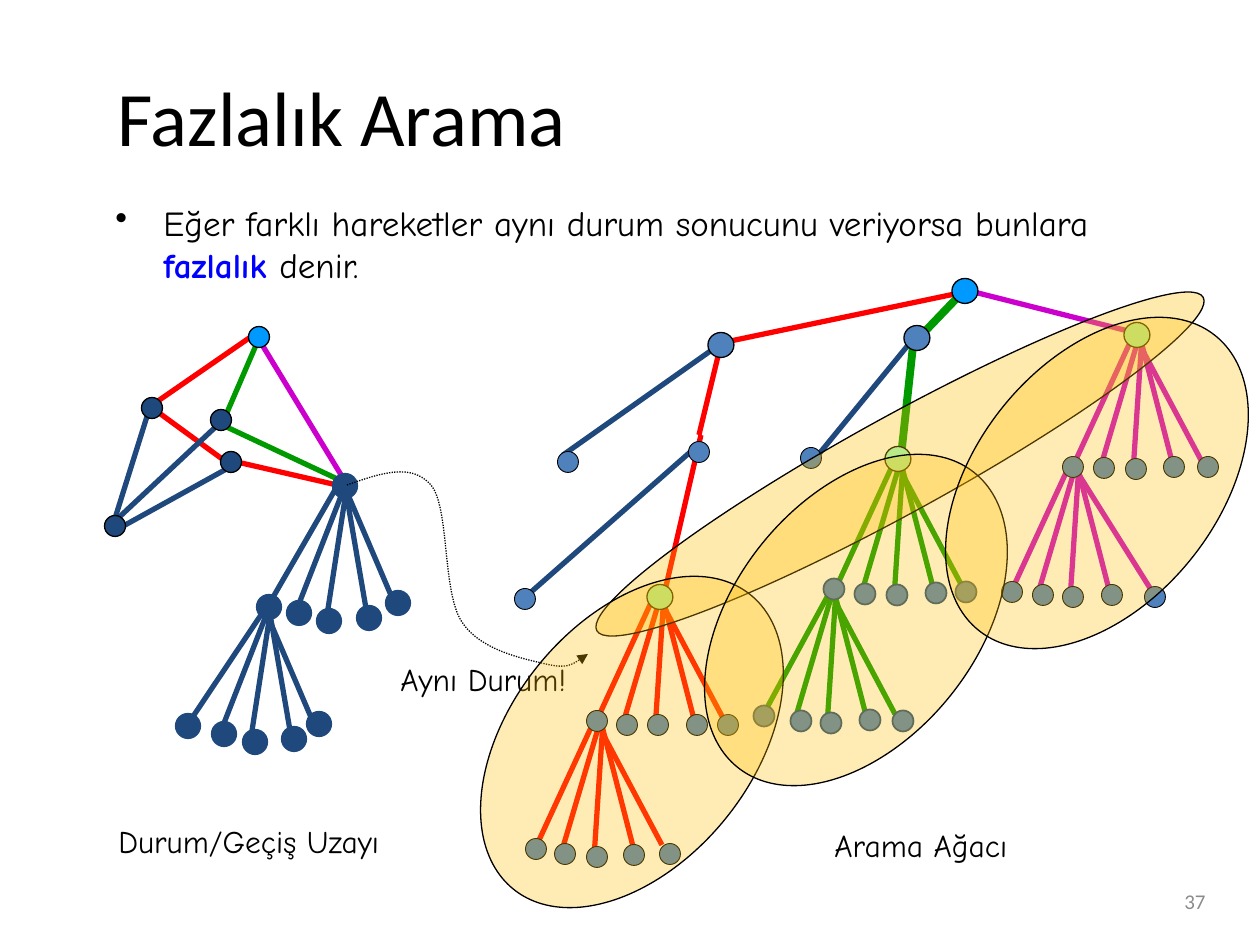
from lxml import etree
from pptx import Presentation
from pptx.dml.color import RGBColor
from pptx.enum.dml import MSO_LINE
from pptx.enum.shapes import MSO_CONNECTOR, MSO_SHAPE
from pptx.enum.text import MSO_ANCHOR, PP_ALIGN
from pptx.oxml.ns import qn
from pptx.util import Pt

SCALE = 914400 // 126
STRAIGHT, OVAL = MSO_CONNECTOR.STRAIGHT, MSO_SHAPE.OVAL
DOTTED = MSO_LINE.ROUND_DOT
MIDDLE, TOP = MSO_ANCHOR.MIDDLE, MSO_ANCHOR.TOP
LEFT, RIGHT, JUSTIFY = PP_ALIGN.LEFT, PP_ALIGN.RIGHT, PP_ALIGN.JUSTIFY
COLORS = {"black": "000000", "gray": "8C8C8C", "word": "0000FF", "red": "FF0000",
          "green": "009900", "purple": "CC00CC", "navy": "1F497D", "blue": "4F81BD",
          "bright": "0099FF", "mint": "99FFCC", "gold": "FFC000"}

TITLE = ("Fazlalık Arama", (105, 37, 1113, 158))
BODY_BOX = (103, 195, 1097, 110)
BODY = [[("Eğer farklı hareketler aynı durum sonucunu veriyorsa bunlara", "black", False)],
        [("fazlalık ", "word", True), ("denir.", "black", False)]]
BODY_INDENT = 48
LABELS = [("Durum/Geçiş Uzayı", (106, 816, 306, 50)),
          ("Arama Ağacı", (822, 820, 213, 50)),
          ("Aynı Durum!", (388, 654, 202, 50))]
PAGE_NUMBER = ("37", (924, 876, 294, 50))

LINKS = {
    ("red", 3): [(701, 435, 664, 595), (255, 334, 158, 401), (151, 407, 229, 464),
                 (350, 488, 237, 462), (974, 290, 721, 343), (699, 435, 721, 344)],
    ("green", 4.5): [(959, 296, 912, 345), (915, 328, 901, 457)],
    ("green", 3): [(218, 423, 348, 484), (260, 336, 226, 415)],
    ("purple", 3): [(966, 290, 1144, 335), (258, 338, 349, 488)],
    ("navy", 3): [(914, 338, 810, 465), (150, 407, 112, 528), (232, 466, 118, 529),
                  (222, 421, 112, 524), (696, 447, 522, 600), (719, 345, 563, 455)],
}
TREE_RAYS = [(8, 3, -1, 139), (5, 3, -34, 135), (0, 0, -60, 130), (0, 0, 67, 126), (6, 3, 40, 135)]
STATE_RAYS = [(8, 3, -13, 139), (6, 3, -44, 131), (0, 0, -71, 123), (4, 0, 60, 131), (6, 3, 29, 137)]
FANS = [
    ("purple", (1134, 334), TREE_RAYS, {}),
    ("purple", (1071, 462), TREE_RAYS, {3: (0, 0, 84, 134)}),
    ("green", (895, 460), TREE_RAYS, {}),
    ("green", (828, 588), TREE_RAYS, {2: (4, 0, -66, 129)}),
    ("red", (656, 592), TREE_RAYS, {}),
    ("red", (595, 719), TREE_RAYS, {}),
    ("navy", (339, 483), STATE_RAYS, {}),
    ("navy", (263, 605), STATE_RAYS, {2: (4, 1, -77, 122), 3: (0, 0, 56, 131)}),
]
SMALL, LARGE = (21, 21), (26, 25)
NODES = [
    (SMALL, "blue", "black", 0.5, [
        (1208, 467), (1174, 467), (1136, 469), (1104, 468), (1073, 467),
        (1155, 597), (1112, 595), (1073, 597), (1043, 595), (1012, 592),
        (728, 725), (697, 725), (658, 725), (627, 725), (597, 721),
        (670, 854), (634, 855), (597, 857), (565, 854), (536, 849),
        (811, 458), (525, 599), (568, 462), (699, 452)]),
    (SMALL, "blue", "navy", 1, [
        (966, 592), (936, 593), (897, 595), (865, 594), (834, 589),
        (903, 721), (870, 720), (831, 723), (801, 721), (764, 716)]),
    (SMALL, "navy", "navy", 3, [
        (398, 603), (369, 618), (329, 621), (299, 613), (269, 607), (345, 486),
        (319, 724), (294, 739), (255, 742), (224, 734), (188, 726)]),
    (SMALL, "navy", "black", 0.75, [(152, 408), (115, 526), (231, 462), (221, 420)]),
    (SMALL, "bright", "black", 0.75, [(259, 337)]),
    (LARGE, "mint", "black", 0.75, [(1137, 335), (898, 459), (660, 597)]),
    (LARGE, "blue", "black", 0.75, [(917, 338), (721, 345)]),
    (LARGE, "bright", "black", 0.75, [(965, 291)]),
]
POINTER = [(347, 485), (379, 474), (411, 462), (431, 485), (450, 508), (442, 592),
           (462, 622), (481, 651), (525, 659), (546, 664), (567, 669), (577, 662), (588, 654)]
REGIONS = [((900, 464), (692, 97), 151.2, 32), ((632, 742), (242, 378), 38.8, 29),
           ((856, 620), (242, 378), 38.8, 29), ((1097, 483), (242, 378), 38.8, 29)]


def color(name):
    return RGBColor.from_string(COLORS[name])


def lengths(values):
    return [value * SCALE for value in values]


def style_line(shape, name, width):
    shape.line.color.rgb = color(name)
    shape.line.width = Pt(width)


def add_link(points, name, width):
    link = slide.shapes.add_connector(STRAIGHT, *lengths(points))
    style_line(link, name, width)
    etree.SubElement(link._element.spPr, qn("a:effectLst"))


def add_ellipse(center, size, fill, line, width):
    box = [center[0] - size[0] / 2, center[1] - size[1] / 2, *size]
    shape = slide.shapes.add_shape(OVAL, *[int(value) for value in lengths(box)])
    shape.shadow.inherit = False
    shape.fill.solid()
    shape.fill.fore_color.rgb = color(fill)
    style_line(shape, line, width)
    return shape


def add_run(paragraph, text, name, values):
    run = paragraph.add_run()
    run.text = text
    run.font.color.rgb = color(name)
    for key, value in values.items():
        setattr(run.font, key, value)


def add_text(text, box, name, align, anchor, wrap, values):
    shape = slide.shapes.add_textbox(*lengths(box))
    frame = shape.text_frame
    frame.word_wrap, frame.vertical_anchor = wrap, anchor
    frame.paragraphs[0].alignment = align
    add_run(frame.paragraphs[0], text, name, values)


presentation = Presentation()
presentation.slide_width, presentation.slide_height = lengths((1260, 945))
slide = presentation.slides.add_slide(presentation.slide_layouts[5])

title = slide.shapes.title
title.left, title.top, title.width, title.height = lengths(TITLE[1])
title.text_frame.vertical_anchor = MIDDLE
title.text_frame.paragraphs[0].alignment = LEFT
add_run(title.text_frame.paragraphs[0], TITLE[0], "black", {"size": Pt(44), "name": "Calibri"})

add_text(*PAGE_NUMBER, "gray", RIGHT, MIDDLE, True, {"size": Pt(12), "name": "Calibri"})

body = slide.shapes.add_textbox(*lengths(BODY_BOX)).text_frame
body.word_wrap = True
for index, runs in enumerate(BODY):
    paragraph = body.add_paragraph() if index else body.paragraphs[0]
    paragraph.alignment = JUSTIFY
    properties = paragraph._p.get_or_add_pPr()
    properties.set("marL", str(BODY_INDENT * SCALE))
    if index == 0:
        properties.set("indent", str(-BODY_INDENT * SCALE))
        etree.SubElement(properties, qn("a:buChar")).set("char", "•")
    for text, name, bold in runs:
        add_run(paragraph, text, name, {"size": Pt(20), "name": "Comic Neue", "bold": bold})

for (name, width), links in LINKS.items():
    for points in links:
        add_link(points, name, width)
for name, (x, y), rays, changes in FANS:
    for index, ray in enumerate(rays):
        x1, y1, x2, y2 = changes.get(index, ray)
        add_link((x + x1, y + y1, x + x2, y + y2), name, 3)
for size, fill, line, width, centers in NODES:
    for center in centers:
        add_ellipse(center, size, fill, line, width)

builder = slide.shapes.build_freeform(*POINTER[0], scale=SCALE)
builder.add_line_segments(POINTER[1:], close=False)
pointer = builder.convert_to_shape()
pointer.shadow.inherit = False
pointer.fill.background()
style_line(pointer, "black", 0.75)
pointer.line.dash_style = DOTTED
etree.SubElement(pointer.line._get_or_add_ln(), qn("a:tailEnd")).set("type", "triangle")
outline = pointer._element.find(".//" + qn("a:path"))
segments = outline.findall(qn("a:lnTo"))
for start in range(0, len(segments), 3):
    curve = etree.SubElement(outline, qn("a:cubicBezTo"))
    for segment in segments[start:start + 3]:
        curve.append(segment[0])
        outline.remove(segment)

for text, box in LABELS:
    add_text(text, box, "black", LEFT, TOP, False, {"size": Pt(18), "name": "Comic Neue"})

for center, size, rotation, opacity in REGIONS:
    region = add_ellipse(center, size, "gold", "black", 0.75)
    region.rotation = rotation
    fill_color = region._element.spPr.find(qn("a:solidFill"))[0]
    etree.SubElement(fill_color, qn("a:alpha")).set("val", str(opacity * 1000))

presentation.save("out.pptx")
